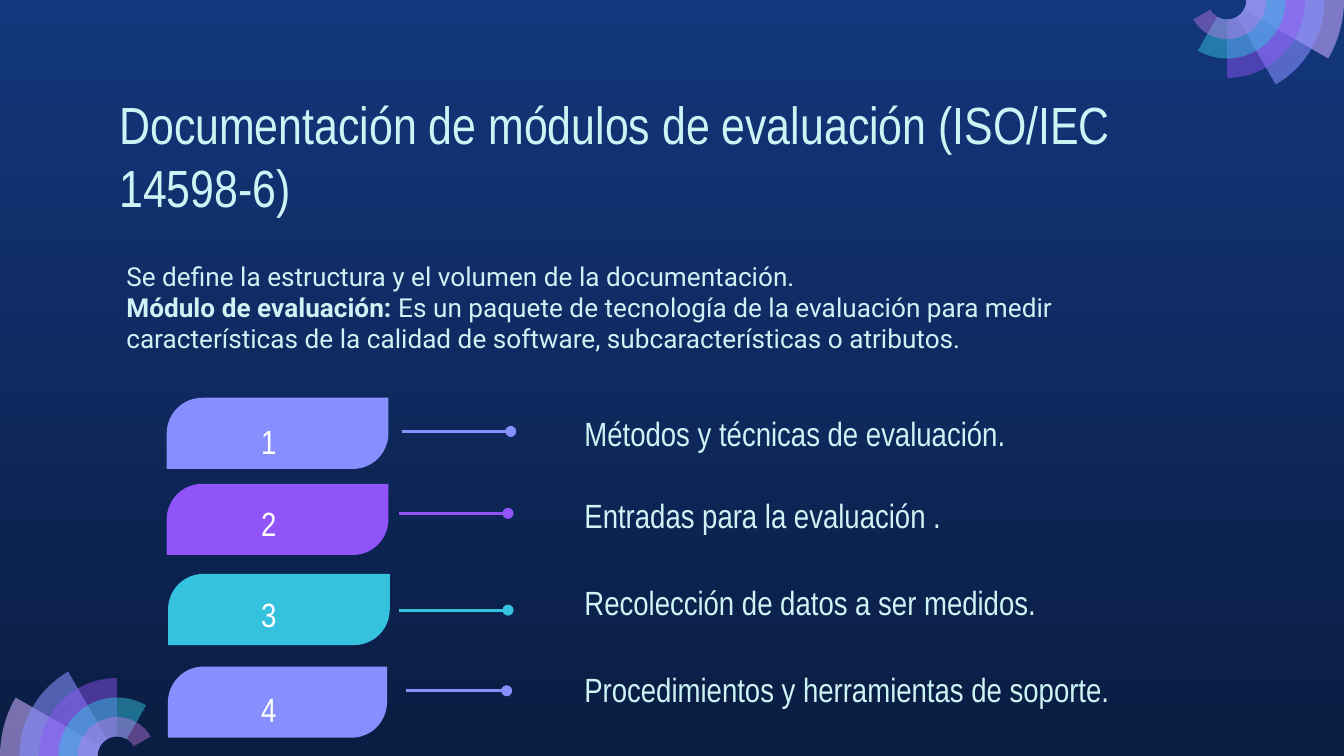
from math import cos, radians, sin, tan
from typing import NamedTuple

from lxml import etree
from pptx import Presentation
from pptx.dml.color import RGBColor
from pptx.enum.shapes import MSO_CONNECTOR, MSO_SHAPE
from pptx.enum.text import MSO_ANCHOR, PP_ALIGN
from pptx.oxml.ns import qn
from pptx.util import Emu, Pt

PX = 9144
WIDTH = 1000
HEIGHT = WIDTH * 9 / 16
INSET = 10
TITLE_FONT, BODY_FONT = "Arial Narrow", "Roboto"

STRAIGHT = MSO_CONNECTOR.STRAIGHT
LEAF = MSO_SHAPE.ROUND_2_DIAG_RECTANGLE
TOP, MIDDLE = MSO_ANCHOR.TOP, MSO_ANCHOR.MIDDLE
LEFT, CENTER = PP_ALIGN.LEFT, PP_ALIGN.CENTER

SKY = RGBColor(0x13, 0x36, 0x7C)
NIGHT = RGBColor(0x0A, 0x1D, 0x42)
ICE = RGBColor(0xCE, 0xF3, 0xF5)
WHITE = RGBColor(0xFF, 0xFF, 0xFF)
PERIWINKLE = RGBColor(0x87, 0x8F, 0xFF)
VIOLET = RGBColor(0x91, 0x54, 0xF8)
CYAN = RGBColor(0x35, 0xC2, 0xDF)
LILAC = RGBColor(0xC8, 0xAC, 0xFD)
ORCHID = RGBColor(0xCA, 0x7B, 0xEB)

RINGS = [(LILAC, 58), (PERIWINKLE, 58), (VIOLET, 46), (CYAN, 49), (ORCHID, 42)]


class Step(NamedTuple):
    """One numbered step, with its parts offset from the corner of its leaf."""

    label: str
    colour: RGBColor
    leaf: tuple
    number_box: tuple
    pointer: tuple
    label_box: tuple


STEPS = [
    Step("Métodos y técnicas de evaluación.", PERIWINKLE, (124, 296, 165, 53),
         (7, 7, 138, 46), (175, 256, 25), (301, 7, 421, 38)),
    Step("Entradas para la evaluación .", VIOLET, (124, 360, 165, 53),
         (7, 4, 138, 46), (173, 254, 22), (301, 4, 421, 38)),
    Step("Recolección de datos a ser medidos.", CYAN, (125, 427, 165, 53),
         (6, 5, 138, 46), (172, 253, 27), (300, 2, 421, 38)),
    Step("Procedimientos y herramientas de soporte.", PERIWINKLE,
         (125, 496, 163, 53),
         (11, 7, 128, 43), (177, 252, 18), (300, -2, 496, 38)),
]


def px(length):
    """Turn a length in px into EMU."""
    return Emu(round(length * PX))


def add_text(slide, box, paragraphs, font, size, colour,
             anchor=TOP, align=LEFT, side_inset=INSET, space_after=0):
    """Place paragraphs, each a list of (text, bold) runs, in a box."""
    frame = slide.shapes.add_textbox(*map(px, box)).text_frame
    frame.word_wrap = True
    frame.vertical_anchor = anchor
    frame.margin_left = frame.margin_right = px(side_inset)
    frame.margin_top = frame.margin_bottom = px(INSET)
    for index, runs in enumerate(paragraphs):
        paragraph = frame.add_paragraph() if index else frame.paragraphs[0]
        paragraph.alignment = align
        paragraph.space_after = Pt(space_after)
        for text, bold in runs:
            run = paragraph.add_run()
            run.text = text
            run.font.name = font
            run.font.size = Pt(size)
            run.font.bold = bold
            run.font.color.rgb = colour


def draw_background(slide):
    """Fill the slide with a vertical gradient."""
    fill = slide.background.fill
    fill.gradient()
    fill.gradient_angle = 270
    for stop, colour in zip(fill.gradient_stops, (SKY, NIGHT)):
        stop.color.rgb = colour


def arc_points(centre, radius, angles):
    """Return the start of an arc and three Bézier points for each piece."""
    def at(angle, along=0):
        turn = radians(angle)
        return (px(centre[0] + radius * (cos(turn) - along * sin(turn))),
                px(centre[1] + radius * (sin(turn) + along * cos(turn))))

    points = [at(angles[0])]
    for first, last in zip(angles, angles[1:]):
        handle = 4 / 3 * tan(radians(last - first) / 4)
        points += [at(first, handle), at(last, -handle), at(last)]
    return points


def draw_sector(slide, outer, inner, colour, opacity):
    """Draw a ring sector between two arcs of Bézier points."""
    builder = slide.shapes.build_freeform(*outer[0])
    builder.add_line_segments(outer[1:] + inner, close=True)
    sector = builder.convert_to_shape()
    sector.shadow.inherit = False
    sector.line.fill.background()
    sector.fill.solid()
    sector.fill.fore_color.rgb = colour
    properties = sector._element.spPr
    tint = properties.find(".//" + qn("a:srgbClr"))
    etree.SubElement(tint, qn("a:alpha"), val=str(opacity * 1000))

    lines = properties.findall(".//" + qn("a:lnTo"))
    split = len(outer) - 1
    for side in (lines[:split], lines[split + 1:split + len(inner)]):
        for piece in zip(side[::3], side[1::3], side[2::3]):
            curve = etree.Element(qn("a:cubicBezTo"))
            piece[0].addprevious(curve)
            for line in piece:
                curve.append(line[0])
                line.getparent().remove(line)


def draw_fan(slide, centre, radius, start):
    """Draw overlapping ring sectors, each one narrower and 30° longer."""
    ring_width = radius / (len(RINGS) + 1)
    for index, (colour, opacity) in enumerate(RINGS):
        sweep = 30 * (index + 1)
        angles = [start + turn for turn in sorted({0, min(sweep, 90), sweep})]
        outer = arc_points(centre, radius - index * ring_width, angles)
        inner = arc_points(centre, ring_width, angles[::-1])
        draw_sector(slide, outer, inner, colour, opacity)


def draw_heading(slide, box):
    """Write the slide title."""
    title = "Documentación de módulos de evaluación (ISO/IEC 14598-6)"
    add_text(slide, box, [[(title, False)]], TITLE_FONT, 28, ICE)


def draw_definition(slide, box):
    """Write the introduction and the definition of an evaluation module."""
    paragraphs = [
        [("Se define la estructura y el volumen de la documentación.", False)],
        [("Módulo de evaluación: ", True),
         ("Es un paquete de tecnología de la evaluación para medir "
          "características de la calidad de software, subcaracterísticas "
          "o atributos.", False)],
    ]
    add_text(slide, box, paragraphs, BODY_FONT, 14, ICE, MIDDLE, side_inset=30)


def draw_pointer(slide, start_x, end_x, y, colour):
    """Draw a horizontal line that ends in a dot."""
    pointer = slide.shapes.add_connector(
        STRAIGHT, px(start_x), px(y), px(end_x), px(y))
    pointer.line.color.rgb = colour
    pointer.line.width = Pt(1.5)
    properties = pointer._element.spPr
    etree.SubElement(properties.find(qn("a:ln")), qn("a:tailEnd"), type="oval")
    etree.SubElement(properties, qn("a:effectLst"))


def draw_step(slide, number, step):
    """Draw a numbered leaf, its pointer and its label."""
    left, top = step.leaf[:2]
    leaf = slide.shapes.add_shape(LEAF, *map(px, step.leaf))
    leaf.adjustments[0] = 0.5
    leaf.adjustments[1] = 0
    leaf.shadow.inherit = False
    leaf.fill.solid()
    leaf.fill.fore_color.rgb = step.colour
    leaf.line.fill.background()

    def placed(box):
        return (left + box[0], top + box[1], *box[2:])

    add_text(slide, placed(step.number_box), [[(str(number), False)]],
             TITLE_FONT, 18, WHITE, align=CENTER, space_after=16)
    start_dx, end_dx, dy = step.pointer
    draw_pointer(slide, left + start_dx, left + end_dx, top + dy, step.colour)
    add_text(slide, placed(step.label_box), [[(step.label, False)]],
             TITLE_FONT, 18, ICE, MIDDLE)


def main():
    """Build the slide and save it."""
    presentation = Presentation()
    presentation.slide_width = px(WIDTH)
    presentation.slide_height = px(HEIGHT)
    slide = presentation.slides.add_slide(presentation.slide_layouts[6])
    draw_background(slide)
    draw_fan(slide, (87, HEIGHT), 87, 180)
    draw_fan(slide, (WIDTH - 87, 0), 87, 0)
    draw_heading(slide, (79, 59, 843, 63))
    draw_definition(slide, (64, 189, 808, 79))
    for number, step in enumerate(STEPS, start=1):
        draw_step(slide, number, step)
    presentation.save("out.pptx")


if __name__ == "__main__":
    main()
